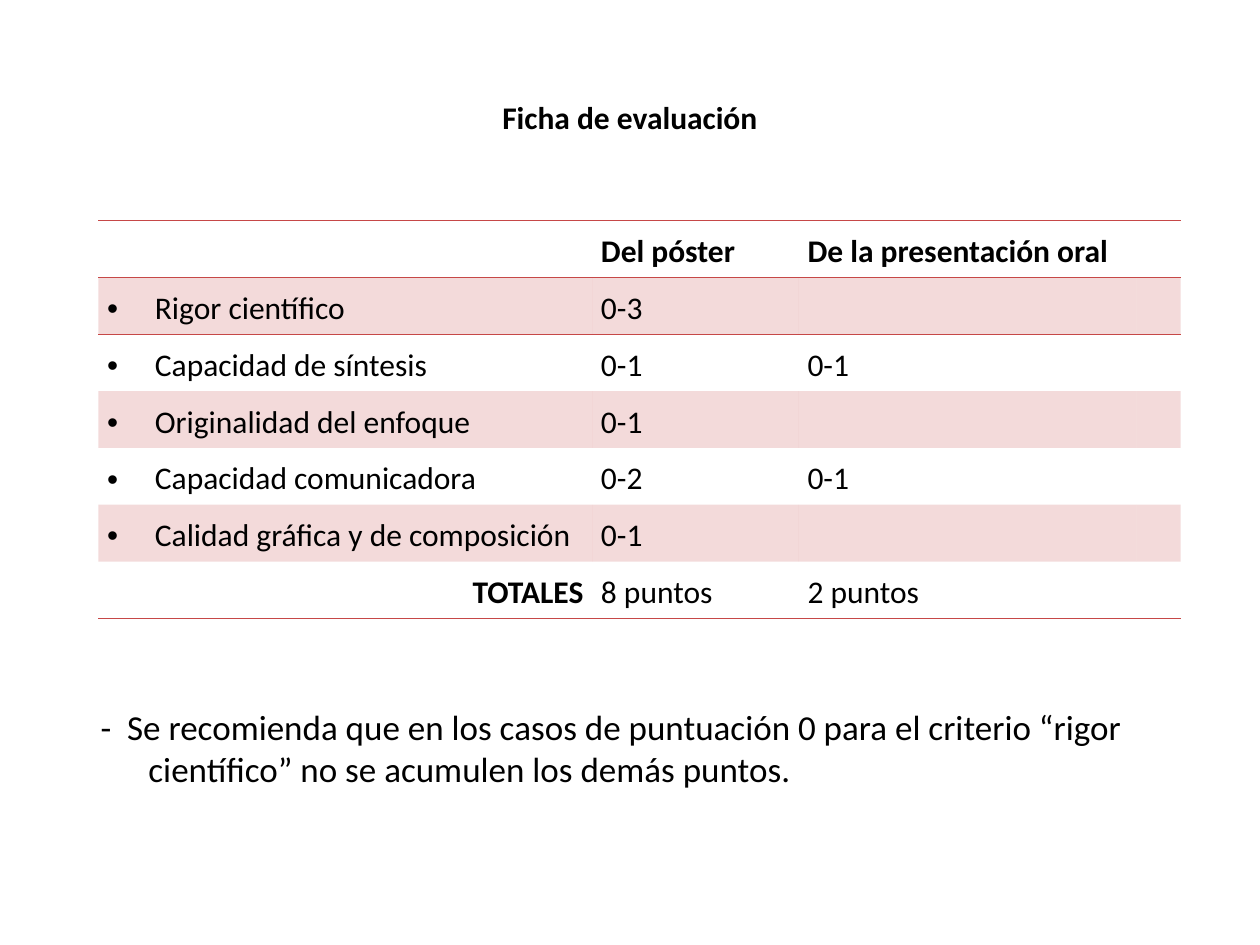
import pptx
import pptx.dml.color
import pptx.enum.text
import pptx.oxml
import pptx.oxml.ns
import pptx.util
from lxml import etree

Inches = pptx.util.Inches
Align = pptx.enum.text.PP_ALIGN
Anchor = pptx.enum.text.MSO_ANCHOR

BLACK = "000000"
RED = "C64847"
PLAIN_TABLE = "{2D5ABB26-0587-4C30-8999-92F81FD0307C}"
HANGING = {"left": 0.38, "indent": -0.38}

HEADER = ["", "Del póster", "De la presentación oral", ""]
CRITERIA = [
    ["Rigor científico", "0-3", "", ""],
    ["Capacidad de síntesis", "0-1", "0-1", ""],
    ["Originalidad del enfoque", "0-1", "", ""],
    ["Capacidad comunicadora", "0-2", "0-1", ""],
    ["Calidad gráfica y de composición", "0-1", "", ""],
]
TOTALS = ["TOTALES", "8 puntos", "2 puntos", ""]
NOTE = ("-  Se recomienda que en los casos de puntuación 0 para el criterio "
        "“rigor científico” no se acumulen los demás puntos.")


def color(value):
    return pptx.dml.color.RGBColor.from_string(value)


def add_element(parent, tag, **values):
    element = etree.SubElement(parent, pptx.oxml.ns.qn(tag))
    for name, value in values.items():
        element.set(name, str(value))
    return element


def set_values(target, values):
    for name, value in values.items():
        setattr(target, name, value)


class EvaluationSlide:
    font_name = "Calibri"

    def __init__(self, presentation):
        self.slide = presentation.slides.add_slide(presentation.slide_layouts[5])

    def fill_paragraph(self, paragraph, text, size=18, bold=False, left=0,
                       indent=0, bullet=False, **paragraph_format):
        properties = paragraph._p.get_or_add_pPr()
        properties.set("marL", str(Inches(left)))
        properties.set("indent", str(Inches(indent)))
        if bullet:
            bullet_color = add_element(properties, "a:buClr")
            add_element(bullet_color, "a:srgbClr", val=BLACK)
            add_element(properties, "a:buFont", typeface="Arial")
            add_element(properties, "a:buChar", char="•")
        set_values(paragraph, paragraph_format)
        run = paragraph.add_run()
        run.text = text
        set_values(run.font, {"name": self.font_name, "bold": bold,
                              "size": pptx.util.Pt(size)})
        run.font.color.rgb = color(BLACK)

    def title(self, text, left, top, width, height):
        shape = self.slide.shapes.title
        set_values(shape, {"left": Inches(left), "top": Inches(top),
                           "width": Inches(width), "height": Inches(height)})
        shape.text_frame.vertical_anchor = Anchor.MIDDLE
        self.fill_paragraph(shape.text_frame.paragraphs[0], text, bold=True,
                            alignment=Align.CENTER, **HANGING)

    def text_box(self, text, left, top, width, height):
        shape = self.slide.shapes.add_textbox(
            Inches(left), Inches(top), Inches(width), Inches(height))
        shape.text_frame.word_wrap = True
        self.fill_paragraph(shape.text_frame.paragraphs[0], text, size=20,
                            **HANGING)

    def border(self, cell, tag):
        line = add_element(cell._tc.get_or_add_tcPr(), tag, w=pptx.util.Pt(0.45))
        fill = add_element(line, "a:solidFill")
        add_element(fill, "a:srgbClr", val=RED)

    def tint(self, cell):
        cell.fill.solid()
        cell.fill.fore_color.rgb = color(RED)
        fill = cell._tc.tcPr.find(pptx.oxml.ns.qn("a:solidFill"))
        add_element(fill[0], "a:alpha", val=20000)

    def table(self, rows, left, top, widths, row_height):
        frame = self.slide.shapes.add_table(
            len(rows), len(widths), Inches(left), Inches(top),
            Inches(sum(widths)), Inches(row_height * len(rows)))
        table = frame.table
        set_values(table, {"first_row": False, "horz_banding": False})
        table._tbl.tblPr.find(pptx.oxml.ns.qn("a:tableStyleId")).text = PLAIN_TABLE
        for column, width in zip(table.columns, widths):
            column.width = Inches(width)
        last = len(rows) - 1
        for row_index, texts in enumerate(rows):
            table.rows[row_index].height = Inches(row_height)
            for column_index, text in enumerate(texts):
                cell = table.cell(row_index, column_index)
                set_values(cell, {"margin_left": Inches(0.07),
                                  "margin_right": Inches(0.07)})
                # Rules around the header and below the totals
                if row_index in (0, 1):
                    self.border(cell, "a:lnT")
                if row_index in (0, last):
                    self.border(cell, "a:lnB")
                # Every other row is tinted
                if row_index % 2:
                    self.tint(cell)
                else:
                    cell.fill.background()
                if not text:
                    continue
                style = {"alignment": Align.JUSTIFY, "line_spacing": 1.15,
                         "bold": row_index == 0}
                if column_index == 0 and row_index == last:
                    style.update(alignment=Align.RIGHT, left=0.2, bold=True)
                elif column_index == 0:
                    style.update(bullet=True, **HANGING)
                self.fill_paragraph(cell.text_frame.paragraphs[0], text, **style)


def main():
    presentation = pptx.Presentation()
    presentation.slide_width = Inches(10)
    presentation.slide_height = Inches(7.5)
    page = EvaluationSlide(presentation)

    # Title
    page.title("Ficha de evaluación", 0.5, 0.3, 9, 1.25)

    # Scoring table
    page.table([HEADER, *CRITERIA, TOTALS], 0.78, 1.75,
               [3.92, 1.64, 2.68, 0.35], 0.41)

    # Recommendation
    page.text_box(NOTE, 0.7, 5.55, 8.8, 1.15)

    presentation.save("out.pptx")


if __name__ == "__main__":
    main()
